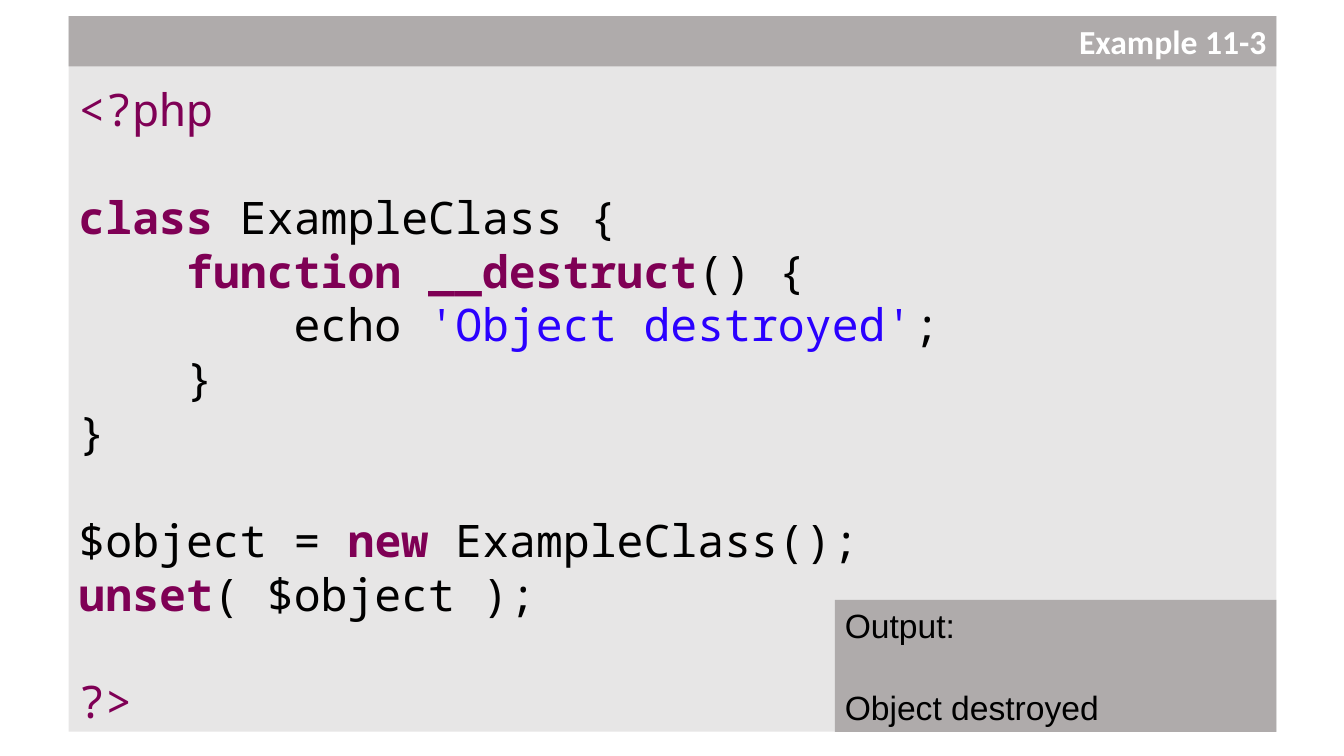
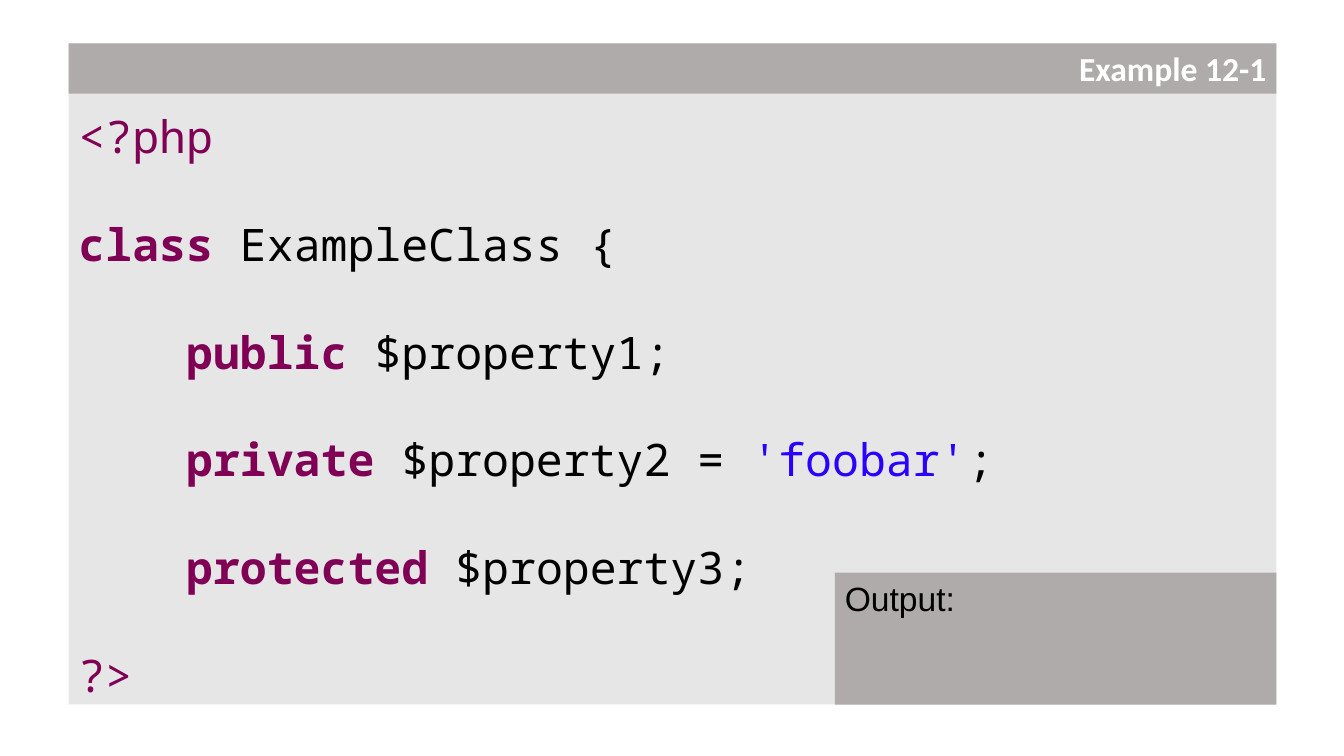
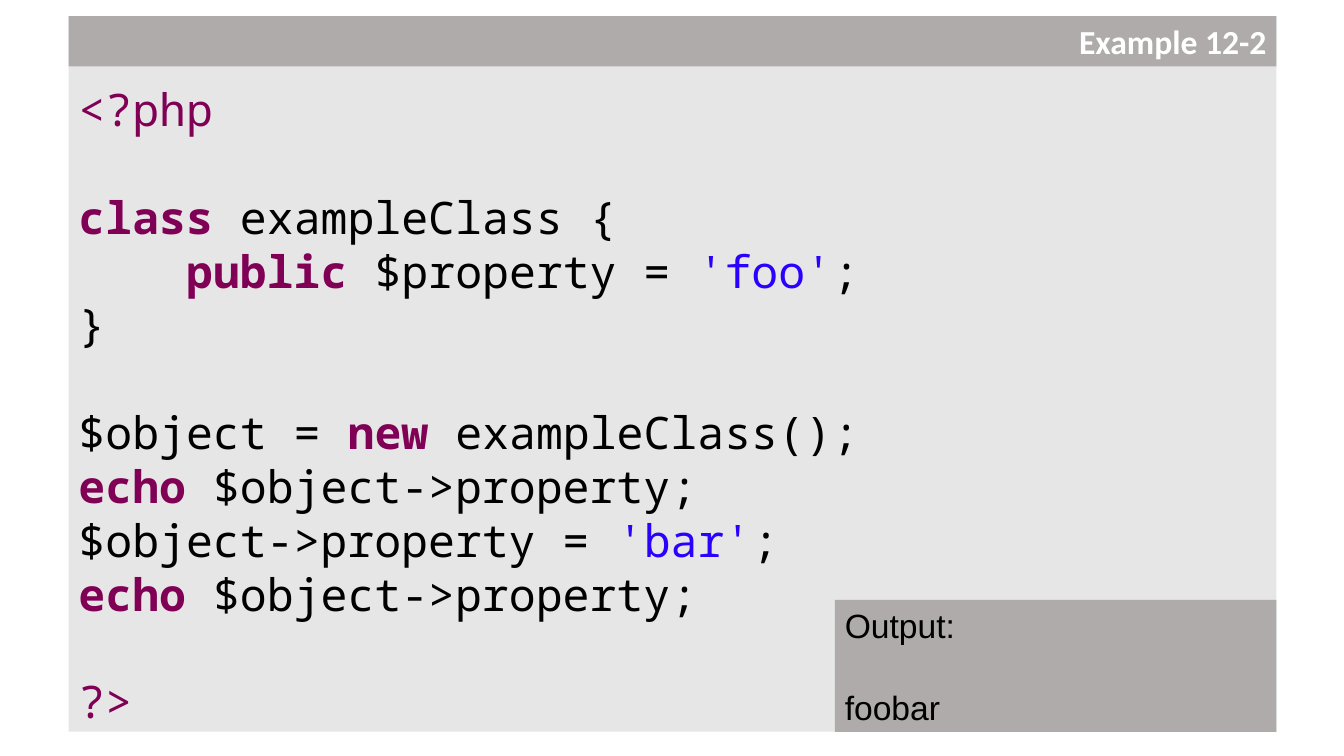
from dataclasses import dataclass

from pptx import Presentation
from pptx.dml.color import RGBColor
from pptx.enum.shapes import MSO_SHAPE
from pptx.enum.text import MSO_ANCHOR, MSO_AUTO_SIZE, PP_ALIGN
from pptx.util import Inches, Pt


@dataclass(frozen=True)
class Theme:
    panel: str = "E7E6E6"
    band: str = "AFABAB"
    light: str = "FFFFFF"
    ink: str = "000000"
    word: str = "7F0055"
    quote: str = "2A00FF"
    mono: str = "Noto Sans Mono"
    sans: str = "Arial"
    head: str = "Calibri"
    code: int = 32
    label: int = 24
    pitch: float = 38.46
    gap: int = 30


THEME = Theme()
LEFT, WIDTH = 0.68, 11.98
BAND = 0.5
OUT_W, OUT_H = 4.38, 1.31
TAGS = ("<?php", "?>")

# Asterisks enclose keywords.
DESTROY = """<?php

*class *ExampleClass {
    *function __destruct*() {
        echo 'Object destroyed';
    }
}

$object = *new *ExampleClass();
*unset*( $object );

?>"""

ACCESS = """<?php

*class *ExampleClass {

    *public *$property1;

    *private *$property2 = 'foobar';

    *protected* $property3;

?>"""

CHANGE = """<?php

*class *exampleClass {
    *public *$property = 'foo';
}

$object = *new *exampleClass();
*echo *$object->property;
$object->property = 'bar';
*echo *$object->property;

?>"""

# Title, top, height, code, output
PAGES = [
    ("Example 11-3", 0.16, 7.1, DESTROY, "Object destroyed"),
    ("Example 12-1", 0.43, 6.56, ACCESS, ""),
    ("Example 12-2", 0.16, 7.1, CHANGE, "foobar"),
]


def style(font, face, size, color, bold=False):
    font.name = face
    font.size = Pt(size)
    font.bold = bold
    font.color.rgb = RGBColor.from_string(color)


def add_box(slide, left, top, width, height, fill):
    box = slide.shapes.add_shape(
        MSO_SHAPE.RECTANGLE, *map(Inches, (left, top, width, height)))
    box.shadow.inherit = False
    box.fill.solid()
    box.fill.fore_color.rgb = RGBColor.from_string(fill)
    box.line.fill.background()
    frame = box.text_frame
    frame.word_wrap = True
    frame.vertical_anchor = MSO_ANCHOR.TOP
    return frame


def split_line(line):
    """Yield the text, colour and weight of each part of a code line."""
    if line in TAGS:
        yield line, THEME.word, False
        return
    for i, part in enumerate(line.split("*")):
        if i % 2:
            yield part, THEME.word, True
            continue
        for j, text in enumerate(part.split("'")):
            if j % 2:
                yield f"'{text}'", THEME.quote, False
            elif text:
                yield text, THEME.ink, False


def add_lines(frame, lines):
    """Fill a frame, giving one paragraph to each line."""
    frame.text = "\n".join(lines)
    for para in frame.paragraphs:
        para.alignment = PP_ALIGN.LEFT
    return frame.paragraphs


def add_code(slide, left, top, width, height, code):
    frame = add_box(slide, left, top, width, height, THEME.panel)
    frame.margin_top = Inches(BAND + 0.15)
    frame.margin_bottom = 0
    frame.auto_size = MSO_AUTO_SIZE.SHAPE_TO_FIT_TEXT
    lines = code.split("\n")
    shown = [n for n, line in enumerate(lines) if line]
    paras = add_lines(frame, ["" for _ in shown])
    for para, n in zip(paras, shown):
        para.line_spacing = Pt(THEME.pitch)
        if n and not lines[n - 1]:
            para.space_before = Pt(THEME.pitch)
        for text, color, bold in split_line(lines[n]):
            run = para.add_run()
            run.text = text
            style(run.font, THEME.mono, THEME.code, color, bold)


def add_output(slide, right, bottom, result):
    frame = add_box(slide, right - OUT_W, bottom - OUT_H, OUT_W, OUT_H,
                    THEME.band)
    lines = ["Output:", result] if result else ["Output:"]
    for n, para in enumerate(add_lines(frame, lines)):
        if n:
            para.space_before = Pt(THEME.gap)
        style(para.runs[0].font, THEME.sans, THEME.label, THEME.ink)


def add_title(slide, left, top, width, title):
    frame = add_box(slide, left, top, width, BAND, THEME.band)
    frame.text = title
    para = frame.paragraphs[0]
    para.alignment = PP_ALIGN.RIGHT
    style(para.runs[0].font, THEME.head, THEME.label, THEME.light, True)


def add_page(deck, title, top, height, code, result):
    slide = deck.slides.add_slide(deck.slide_layouts[6])
    add_code(slide, LEFT, top, WIDTH, height, code)
    add_output(slide, LEFT + WIDTH, top + height, result)
    add_title(slide, LEFT, top, WIDTH, title)


def main():
    deck = Presentation()
    deck.slide_width, deck.slide_height = Inches(13.33), Inches(7.5)
    for page in PAGES:
        add_page(deck, *page)
    deck.save("out.pptx")


if __name__ == "__main__":
    main()
